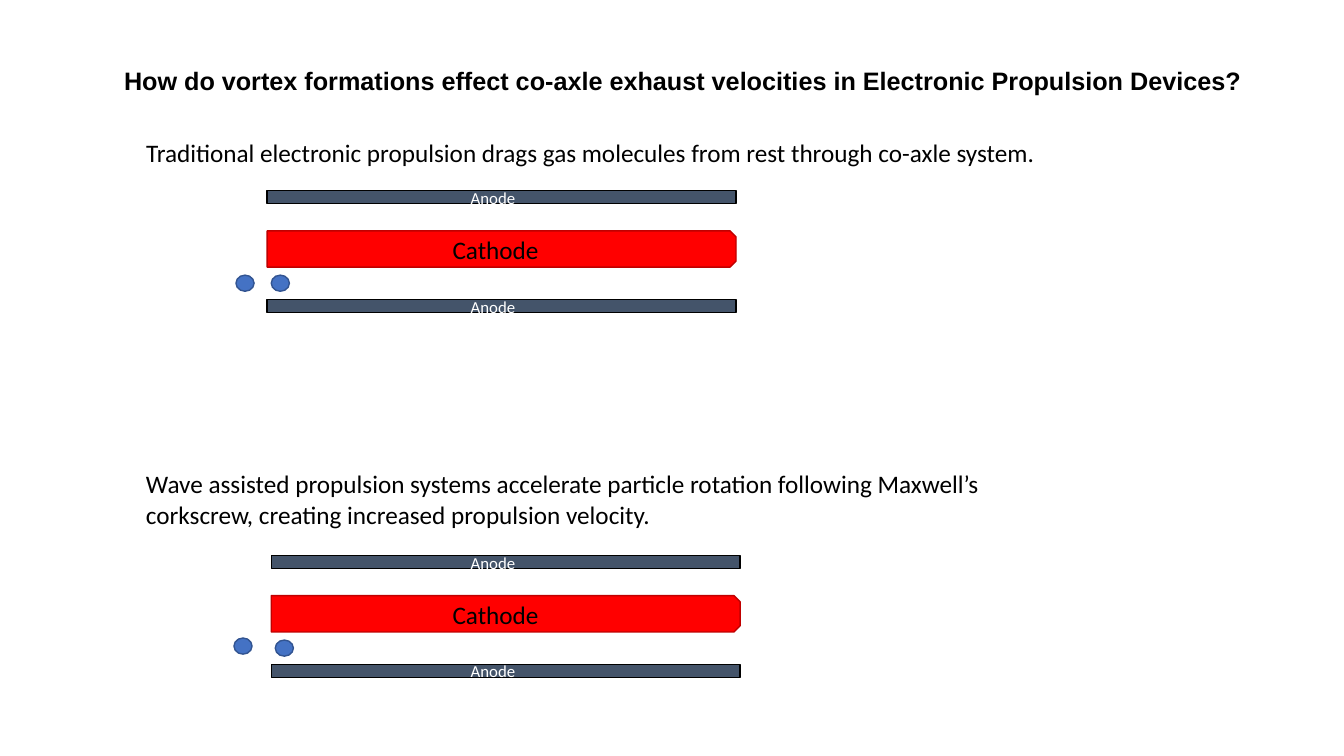
from dataclasses import dataclass

from pptx import Presentation
from pptx.dml.color import RGBColor
from pptx.enum.shapes import MSO_SHAPE
from pptx.enum.text import MSO_ANCHOR, PP_ALIGN
from pptx.util import Inches, Pt

RECTANGLE = MSO_SHAPE.RECTANGLE
OVAL = MSO_SHAPE.OVAL
SNIPPED = MSO_SHAPE.SNIP_2_SAME_RECTANGLE
LEFT = PP_ALIGN.LEFT
TOP = MSO_ANCHOR.TOP


@dataclass(frozen=True)
class Theme:
    black: str = "000000"
    white: str = "FFFFFF"
    anode: str = "44546A"
    cathode: str = "FF0000"
    cathode_edge: str = "C00000"
    molecule: str = "4472C4"
    molecule_edge: str = "325491"
    heading_font: str = "Arial"
    body_font: str = "Calibri"
    body_size: int = 18
    label_size: int = 12


THEME = Theme()
ELECTRODE_LENGTH = 4.65
ANODE_THICKNESS = 0.13
ANODE_GAP = 1.08
CATHODE_THICKNESS = 0.36
CATHODE_OFFSET = 0.4
LABEL_WIDTH = 2.52


def write_text(frame, text, font=THEME.body_font, size=THEME.body_size,
               color=THEME.black, bold=False):
    frame.word_wrap = True
    frame.vertical_anchor = TOP
    paragraph = frame.paragraphs[0]
    paragraph.alignment = LEFT
    run = paragraph.add_run()
    run.text = text
    run.font.name = font
    run.font.size = Pt(size)
    run.font.bold = bold
    run.font.color.rgb = RGBColor.from_string(color)


def add_heading(slide, text, left, top, width, height):
    heading = slide.shapes.title
    heading.left, heading.top = Inches(left), Inches(top)
    heading.width, heading.height = Inches(width), Inches(height)
    write_text(heading.text_frame, text, font=THEME.heading_font, bold=True)


def add_text(slide, text, left, top, width, height, **style):
    box = slide.shapes.add_textbox(Inches(left), Inches(top), Inches(width), Inches(height))
    write_text(box.text_frame, text, **style)


def add_part(slide, kind, left, top, width, height, fill, edge):
    part = slide.shapes.add_shape(kind, Inches(left), Inches(top), Inches(width), Inches(height))
    part.shadow.inherit = False
    part.fill.solid()
    part.fill.fore_color.rgb = RGBColor.from_string(fill)
    part.line.color.rgb = RGBColor.from_string(edge)
    part.line.width = Pt(1)
    return part


def add_anode(slide, left, top):
    add_part(slide, RECTANGLE, left, top, ELECTRODE_LENGTH, ANODE_THICKNESS,
             THEME.anode, THEME.black)
    add_text(slide, "Anode", 4.57, top - 0.08, LABEL_WIDTH, 0.3,
             size=THEME.label_size, color=THEME.white)


def add_cathode(slide, left, top):
    turn_shift = (ELECTRODE_LENGTH - CATHODE_THICKNESS) / 2
    cathode = add_part(slide, SNIPPED, left + turn_shift, top - turn_shift,
                       CATHODE_THICKNESS, ELECTRODE_LENGTH,
                       THEME.cathode, THEME.cathode_edge)
    cathode.rotation = 90
    add_text(slide, "Cathode", 4.39, top - 0.01, LABEL_WIDTH, 0.4)


def add_thruster(slide, left, top, molecules):
    for anode_top in (top, top + ANODE_GAP):
        add_anode(slide, left, anode_top)
    add_cathode(slide, left, top + CATHODE_OFFSET)
    for molecule_left, molecule_top in molecules:
        add_part(slide, OVAL, molecule_left, molecule_top, 0.18, 0.16,
                 THEME.molecule, THEME.molecule_edge)


def main():
    deck = Presentation()
    deck.slide_width, deck.slide_height = Inches(13.33), Inches(7.5)
    slide = deck.slides.add_slide(deck.slide_layouts.get_by_name("Title Only"))

    add_heading(slide, "How do vortex formations effect co-axle exhaust velocities "
                "in Electronic Propulsion Devices?", 1.13, 0.6, 11.56, 0.4)
    add_text(slide, "Traditional electronic propulsion drags gas molecules from rest "
             "through co-axle system.", 1.35, 1.31, 9.75, 0.4)
    add_thruster(slide, 2.65, 1.89, [(2.34, 2.73), (2.69, 2.73)])
    add_text(slide, "Wave assisted propulsion systems accelerate particle rotation "
             "following Maxwell’s corkscrew, creating increased propulsion velocity.",
             1.35, 4.6, 9.5, 0.71)
    add_thruster(slide, 2.69, 5.51, [(2.32, 6.33), (2.73, 6.35)])

    deck.save("out.pptx")


if __name__ == "__main__":
    main()
